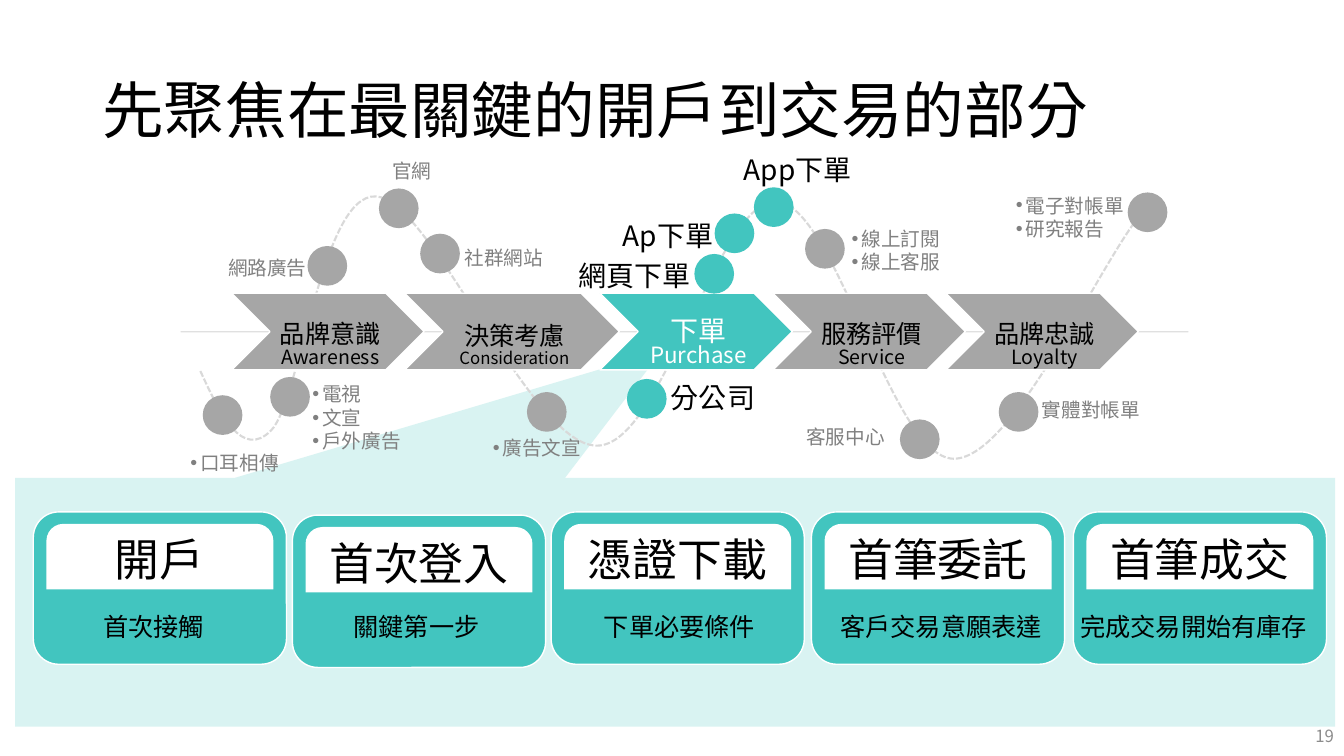
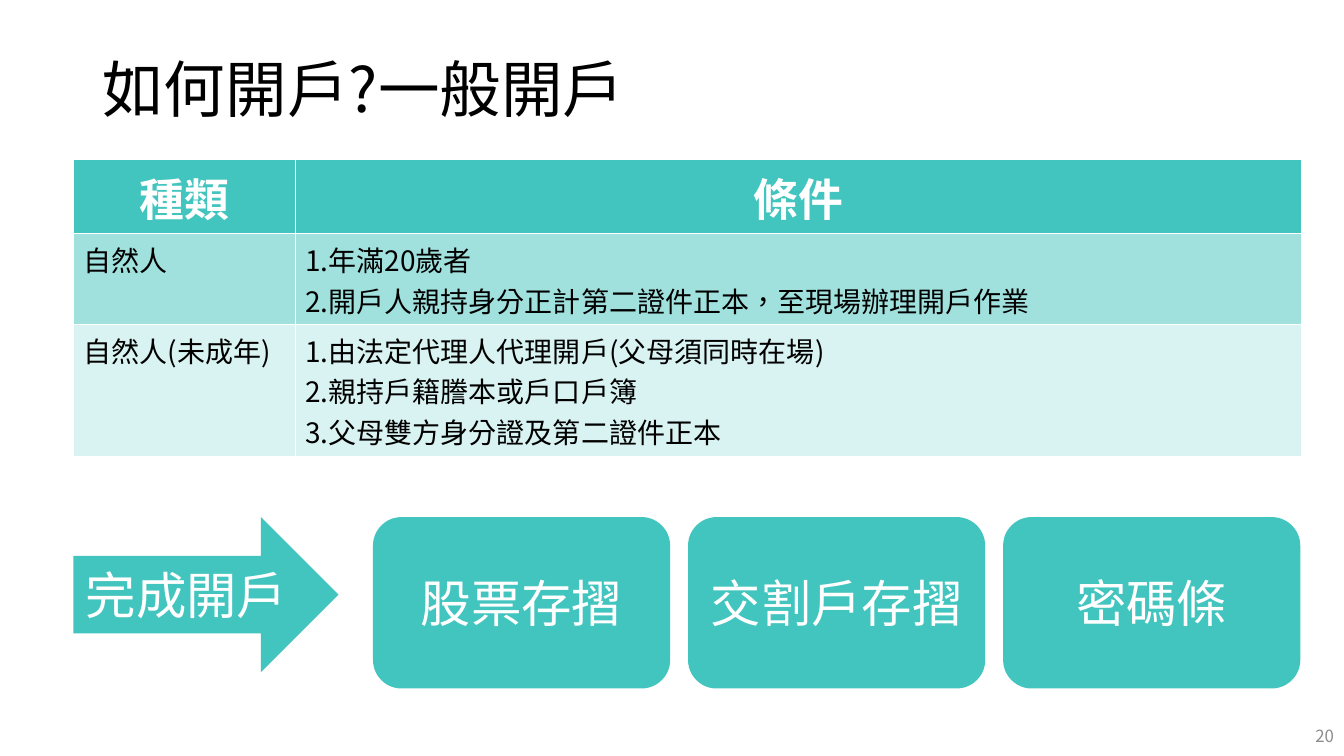
from lxml import etree
from pptx import Presentation
from pptx.dml.color import RGBColor
from pptx.enum.dml import MSO_LINE
from pptx.enum.lang import MSO_LANGUAGE_ID
from pptx.enum.shapes import MSO_CONNECTOR, MSO_SHAPE
from pptx.enum.text import MSO_ANCHOR, MSO_AUTO_SIZE, PP_ALIGN
from pptx.oxml.ns import qn
from pptx.util import Cm, Pt

LEFT, CENTER, RIGHT = PP_ALIGN.LEFT, PP_ALIGN.CENTER, PP_ALIGN.RIGHT
TOP, MIDDLE, BOTTOM = MSO_ANCHOR.TOP, MSO_ANCHOR.MIDDLE, MSO_ANCHOR.BOTTOM
FIT_SHAPE = MSO_AUTO_SIZE.SHAPE_TO_FIT_TEXT
TRADITIONAL_CHINESE = MSO_LANGUAGE_ID.TRADITIONAL_CHINESE
STRAIGHT = MSO_CONNECTOR.STRAIGHT
SYSTEM_DASH = MSO_LINE.SQUARE_DOT
CALLOUT = MSO_SHAPE.RECTANGULAR_CALLOUT
CHEVRON = MSO_SHAPE.CHEVRON
OVAL = MSO_SHAPE.OVAL
RIGHT_ARROW = MSO_SHAPE.RIGHT_ARROW
ROUNDED = MSO_SHAPE.ROUNDED_RECTANGLE
ROUND_TOP = MSO_SHAPE.ROUND_2_SAME_RECTANGLE

FONT, BULLET_FONT = "Noto Sans CJK SC", "Arial"
TEAL, GREY, PALE = "42C5BF", "A6A6A6", "D9D9D9"
BLACK, WHITE, LABEL_GREY, NUMBER_GREY = "000000", "FFFFFF", "808080", "8C8C8C"
BULLET_INDENT = Cm(0.25)

# Stage name, English name, their sizes, chevron width, is it the focus
STAGES = [
    ("品牌意識", "Awareness", (18, 14), 4.85, False),
    ("決策考慮", "Consideration", (18, 12), 5.41, False),
    ("下單", "Purchase", (20, 16), 4.85, True),
    ("服務評價", "Service", (18, 14), 4.85, False),
    ("品牌忠誠", "Loyalty", (18, 14), 4.85, False),
]

# Label lines, dot position, label position, alignment, bulleted, is it the focus
TOUCHPOINTS = [
    (["電視", "文宣", "戶外廣告"], (6.81, 9.5), (7.62, 9.5), LEFT, True, False),
    (["口耳相傳"], (5.11, 9.96), (4.55, 11.23), LEFT, True, False),
    (["網路廣告"], (7.75, 6.2), (3.92, 6.32), RIGHT, False, False),
    (["社群網站"], (10.59, 5.89), (11.46, 6.07), LEFT, False, False),
    (["官網"], (9.55, 4.75), (9.63, 3.89), LEFT, False, False),
    (["廣告文宣"], (13.28, 9.88), (12.17, 10.85), LEFT, True, False),
    (["分公司"], (15.8, 9.55), (16.66, 9.47), LEFT, False, True),
    (["App下單"], (19, 4.72), (18.49, 3.73), LEFT, False, True),
    (["線上訂閱", "線上客服"], (20.29, 5.77), (21.21, 5.59), LEFT, True, False),
    (["客服中心"], (22.68, 10.57), (18.49, 10.59), RIGHT, False, False),
    (["實體對帳單"], (25.17, 9.88), (26.01, 9.91), LEFT, False, False),
    (["電子對帳單", "研究報告"], (28.42, 4.85), (25.35, 4.75), LEFT, True, False),
    (["網頁下單"], (17.5, 6.4), (13.59, 6.4), RIGHT, False, True),
    (["Ap下單"], (18.01, 5.38), (14.17, 5.38), RIGHT, False, True),
]

WAVE_START = (5.05, 9.35)
# Two control points and the end point of each Bézier curve
WAVE_CURVES = [
    ((5.56, 10.46), (6.1, 11.58), (6.83, 10.85)),
    ((7.57, 10.11), (8.1, 4.88), (9.47, 4.95)),
    ((10.85, 5), (13.36, 11.23), (15.04, 11.23)),
    ((16.71, 11.25), (18.06, 5.03), (19.56, 5.08)),
    ((21.06, 5.13), (22.45, 11.53), (24.03, 11.56)),
    ((25.58, 11.58), (27.84, 6.3), (28.91, 5.21)),
]

# Title, card position, caption, caption left and width
STEPS = [
    ("開戶", (0.84, 12.9), "首次接觸", 2.34, 3.07),
    ("首次登入", (7.37, 12.98), "關鍵第一步", 8.64, 3.71),
    ("憑證下載", (13.89, 12.9), "下單必要條件", 14.94, 4.37),
    ("首筆委託", (20.45, 12.9), "客戶交易意願表達", 20.9, 5.64),
    ("首筆成交", (27.05, 12.9), "完成交易開始有庫存", 26.95, 6.27),
]

ACCOUNT_ROWS = [
    (["種類"], ["條件"]),
    (["自然人"], ["1.年滿20歲者", "2.開戶人親持身分正計第二證件正本，至現場辦理開戶作業"]),
    (["自然人(未成年)"],
     ["1.由法定代理人代理開戶(父母須同時在場)", "2.親持戶籍謄本或戶口戶簿",
      "3.父母雙方身分證及第二證件正本"]),
]


def colour(code):
    return RGBColor.from_string(code)


def fade(parent, opacity):
    """Make the solid fill directly under parent partly transparent."""
    alpha = etree.SubElement(parent.find(qn("a:solidFill"))[0], qn("a:alpha"))
    alpha.set("val", str(opacity * 1000))


def add_bullet(para):
    properties = para._p.get_or_add_pPr()
    properties.set("marL", str(BULLET_INDENT))
    properties.set("indent", str(-BULLET_INDENT))
    etree.SubElement(properties, qn("a:buFont")).set("typeface", BULLET_FONT)
    etree.SubElement(properties, qn("a:buChar")).set("char", "•")


def write_text(frame, lines, size=18, color=BLACK, bold=False, align=LEFT, anchor=TOP,
               wrap=True, bulleted=False, line_spacing=None, space_after=None):
    """Fill a text frame, one paragraph a line; size may be a tuple with one per line."""
    frame.word_wrap = wrap
    frame.vertical_anchor = anchor
    sizes = size if isinstance(size, tuple) else (size,) * len(lines)
    for index, (line, points) in enumerate(zip(lines, sizes)):
        para = frame.paragraphs[0] if index == 0 else frame.add_paragraph()
        para.alignment = align
        if line_spacing:
            para.line_spacing = line_spacing
        if space_after:
            para.space_after = Pt(space_after)
        if bulleted:
            add_bullet(para)
        span = para.add_run()
        span.text = line
        span.font.language_id = TRADITIONAL_CHINESE
        span.font.size = Pt(points)
        span.font.bold = bold
        span.font.color.rgb = colour(color)
        span.font.name = FONT
        east_asian = etree.SubElement(span._r.get_or_add_rPr(), qn("a:ea"))
        east_asian.set("typeface", FONT)


def add_text(page, lines, x, y, width, height, **text_format):
    box = page.shapes.add_textbox(Cm(x), Cm(y), Cm(width), Cm(height))
    write_text(box.text_frame, lines, **text_format)
    return box


def add_box(page, kind, x, y, width, height, fill, outline=None):
    box = page.shapes.add_shape(kind, Cm(x), Cm(y), Cm(width), Cm(height))
    box.shadow.inherit = False
    box.fill.solid()
    box.fill.fore_color.rgb = colour(fill)
    if outline:
        box.line.color.rgb = colour(outline)
        box.line.width = Pt(1)
    else:
        box.line.fill.background()
    return box


def add_page(deck, title, title_height, number):
    page = deck.slides.add_slide(deck.slide_layouts[6])
    add_text(page, [title], 2.33, 1.02, 29.21, title_height, size=44, anchor=MIDDLE,
             line_spacing=0.9)
    add_text(page, [str(number)], 26.25, 18.03, 7.62, 1.02, size=12, color=NUMBER_GREY,
             align=RIGHT, anchor=MIDDLE)
    return page


def add_callout(page):
    callout = add_box(page, CALLOUT, 0.38, 12.04, 33.27, 6.27, TEAL)
    callout.adjustments[0] = -0.01
    callout.adjustments[1] = -1.01
    fade(callout._element.spPr, 20)


def add_axis(page):
    axis = page.shapes.add_connector(STRAIGHT, Cm(4.55), Cm(8.36), Cm(29.95), Cm(8.36))
    axis.line.color.rgb = colour(PALE)
    axis.line.width = Pt(1)
    properties = axis._element.spPr
    fade(properties.find(qn("a:ln")), 80)
    etree.SubElement(properties, qn("a:effectLst"))


def bend_segments(shape, curves):
    """Turn each straight segment of a freeform into a cubic Bézier curve."""
    segments = list(shape._element.spPr.iter(qn("a:lnTo")))
    for segment, curve in zip(segments, curves):
        segment.tag = qn("a:cubicBezTo")
        segment.clear()
        for x, y in curve:
            point = etree.SubElement(segment, qn("a:pt"))
            point.set("x", str(Cm(x) - shape.left))
            point.set("y", str(Cm(y) - shape.top))


def add_wave(page):
    ends = [(Cm(x), Cm(y)) for _, _, (x, y) in WAVE_CURVES]
    builder = page.shapes.build_freeform(Cm(WAVE_START[0]), Cm(WAVE_START[1]))
    builder.add_line_segments(ends, close=False)
    wave = builder.convert_to_shape()
    bend_segments(wave, WAVE_CURVES)
    wave.shadow.inherit = False
    wave.fill.background()
    wave.line.color.rgb = colour(PALE)
    wave.line.width = Pt(1.5)
    wave.line.dash_style = SYSTEM_DASH


def add_stages(page):
    x, overlap = 5.84, 0.49
    for name, english, sizes, width, focus in STAGES:
        stage = add_box(page, CHEVRON, x, 7.39, width, 1.93, TEAL if focus else GREY, WHITE)
        frame = stage.text_frame
        frame.margin_left = Cm(0.2)
        frame.margin_right = frame.margin_top = frame.margin_bottom = Cm(0.08)
        write_text(frame, [name, english], size=sizes, color=WHITE if focus else BLACK,
                   align=CENTER, anchor=BOTTOM, wrap=False, line_spacing=0.5, space_after=6)
        x += width - overlap


def add_touchpoint(page, lines, dot, label, align, bulleted, focus):
    add_box(page, OVAL, *dot, 1, 1, TEAL if focus else GREY)
    size = 20 if focus else 14
    height = len(lines) * size * 0.04 + 0.25
    box = add_text(page, lines, *label, 4.06, height, size=size, align=align,
                   color=BLACK if focus else LABEL_GREY, bulleted=bulleted)
    box.text_frame.auto_size = FIT_SHAPE


def add_step_card(page, title, corner, caption, caption_left, caption_width):
    x, y = corner
    add_box(page, ROUNDED, x, y, 6.38, 3.84, TEAL, WHITE)
    heading = add_box(page, ROUND_TOP, x + 0.33, y + 0.3, 5.72, 1.65, WHITE)
    heading.adjustments[0] = 0.26
    write_text(heading.text_frame, [title], size=32, align=CENTER, anchor=MIDDLE)
    box = add_text(page, [caption], caption_left, 15.29, caption_width, 1.02,
                   align=CENTER, wrap=False)
    box.text_frame.auto_size = FIT_SHAPE


def add_account_table(page):
    widths, heights, opacities = (5.59, 25.35), (1.88, 2.29, 3.33), (100, 50, 20)
    table = page.shapes.add_table(len(heights), len(widths), Cm(1.85), Cm(4.01),
                                  Cm(sum(widths)), Cm(sum(heights))).table
    for column, width in zip(table.columns, widths):
        column.width = Cm(width)
    for index, (texts, height, opacity) in enumerate(zip(ACCOUNT_ROWS, heights, opacities)):
        table.rows[index].height = Cm(height)
        header = index == 0
        for cell, lines in zip(table.rows[index].cells, texts):
            cell.fill.solid()
            cell.fill.fore_color.rgb = colour(TEAL)
            fade(cell._tc.tcPr, opacity)
            write_text(cell.text_frame, lines, size=32 if header else 20, bold=header,
                       color=WHITE if header else BLACK, align=CENTER if header else LEFT)


def add_result(page, kind, text, x, width, height):
    result = add_box(page, kind, x, 13.03, width, height, TEAL)
    write_text(result.text_frame, [text], size=36, color=WHITE, align=CENTER,
               anchor=MIDDLE, wrap=False)


def build_journey(deck):
    page = add_page(deck, "先聚焦在最關鍵的開戶到交易的部分", 3.68, 19)
    add_callout(page)
    add_axis(page)
    add_wave(page)
    add_stages(page)
    for touchpoint in TOUCHPOINTS:
        add_touchpoint(page, *touchpoint)
    for step in STEPS:
        add_step_card(page, *step)


def build_account_opening(deck):
    page = add_page(deck, "如何開戶?一般開戶", 2.62, 20)
    add_account_table(page)
    add_result(page, RIGHT_ARROW, "完成開戶", 1.85, 6.68, 3.91)
    for index, text in enumerate(["股票存摺", "交割戶存摺", "密碼條"]):
        add_result(page, ROUNDED, text, 9.4 + index * 7.94, 7.49, 4.32)


def main():
    deck = Presentation()
    deck.slide_width, deck.slide_height = Cm(33.87), Cm(19.05)
    build_journey(deck)
    build_account_opening(deck)
    deck.save("out.pptx")


if __name__ == "__main__":
    main()
